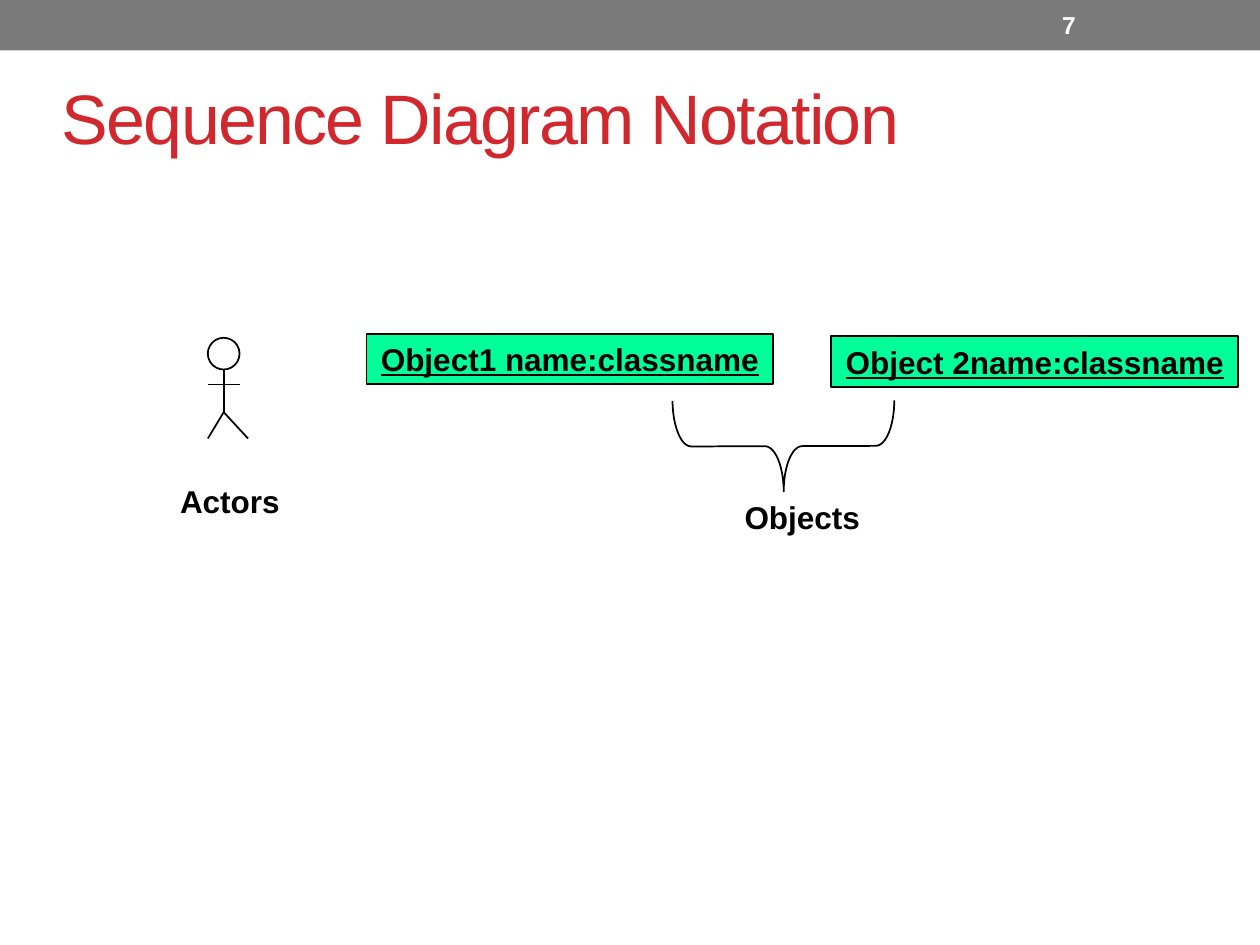
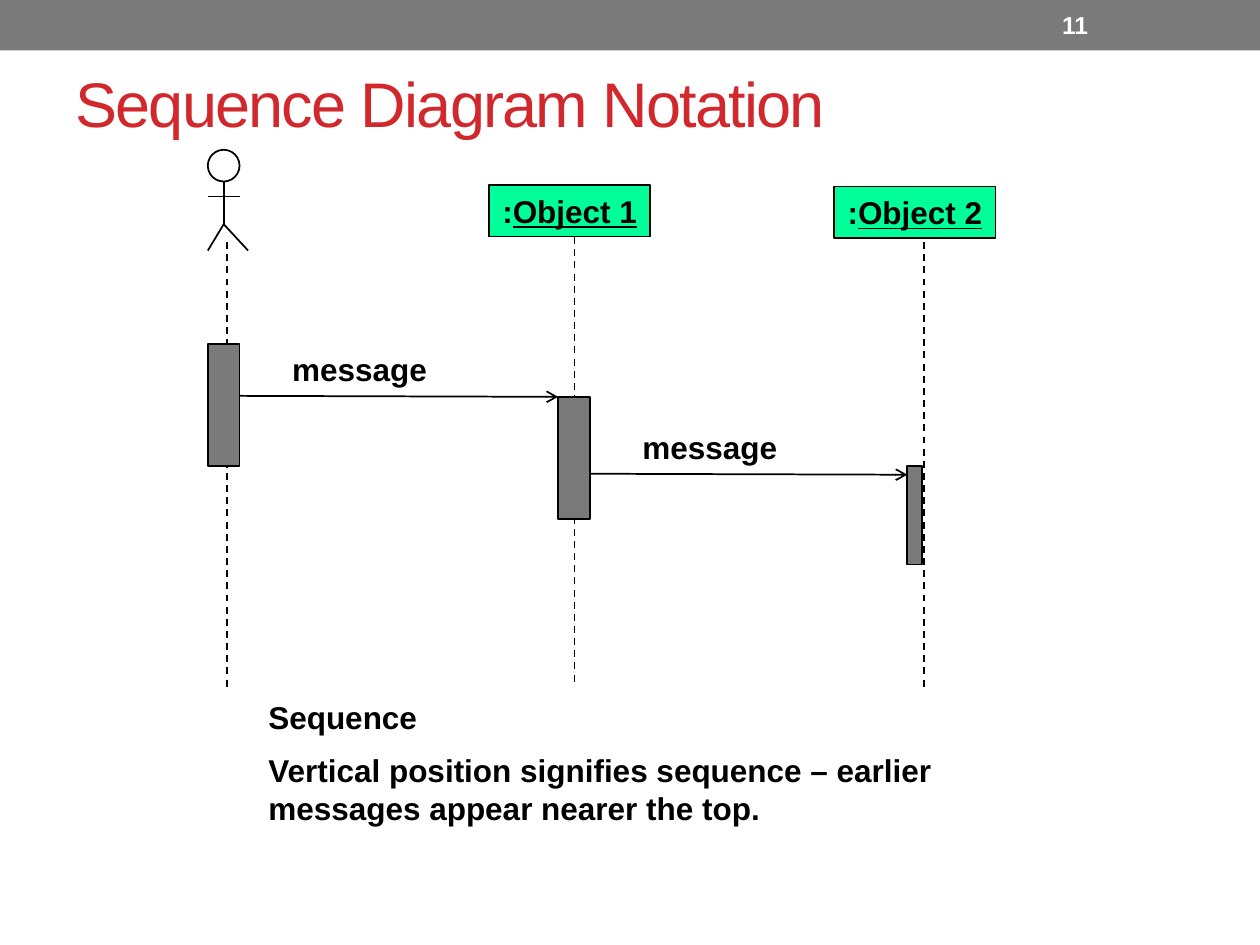
from lxml import etree
from pptx import Presentation
from pptx.dml.color import RGBColor
from pptx.enum.dml import MSO_LINE
from pptx.enum.shapes import MSO_CONNECTOR, MSO_SHAPE
from pptx.enum.text import MSO_ANCHOR, PP_ALIGN
from pptx.oxml.ns import qn
from pptx.util import Cm, Pt

RECTANGLE, OVAL, BRACE = MSO_SHAPE.RECTANGLE, MSO_SHAPE.OVAL, MSO_SHAPE.RIGHT_BRACE
STRAIGHT, DASH = MSO_CONNECTOR.STRAIGHT, MSO_LINE.DASH
TOP, MIDDLE = MSO_ANCHOR.TOP, MSO_ANCHOR.MIDDLE
LEFT, CENTER = PP_ALIGN.LEFT, PP_ALIGN.CENTER

COLORS = {"band": "7A7A7A", "title": "D1282E", "object": "00FF99",
          "ink": "000000", "number": "FFFFFF"}
FONT = "Arial"
SLIDE_W, SLIDE_H, BAND_H = 25.4, 19.05, 1.02
TITLE = "Sequence Diagram Notation"
ACTOR_LEFT, HEAD = 4.19, 0.64
ACTIVATION_W = 0.64

NOTATION = {
    "number": "7",
    "title_box": (1, 1.07, 23.29, 2.54), "title_size": 40,
    "actor_top": 6.81,
    "objects": [([("Object1 name:classname", True)], (7.39, 6.73, 8.2, 1.02)),
                ([("Object 2name:classname", True)], (16.76, 6.78, 8.2, 1.02))],
    "labels": [(["Actors"], (3.38, 9.6, 3.45, 1.02)),
               (["Objects"], (14.76, 9.91, 3.78, 1.02))],
    "brace": (14.88, 6.76, 1.83, 4.47),
}
MESSAGES = {
    "number": "11",
    "title_box": (1.27, 1.09, 22.86, 1.93), "title_size": 36,
    "actor_top": 3.02,
    "objects": [([(":", False), ("Object 1", True)], (9.86, 3.73, 3.25, 1.04)),
                ([(":", False), ("Object 2", True)], (16.82, 3.76, 3.25, 1.04))],
    "lifelines": [(4.57, 4.88, 13.94), (11.58, 4.78, 13.82), (18.62, 4.88, 13.92)],
    "activations": [(4.19, 6.93, ACTIVATION_W, 2.46),
                    (11.25, 8, ACTIVATION_W, 2.46),
                    (18.29, 9.4, 0.3, 1.98)],
    "arrow_tops": [7.98, 9.55],
    "labels": [(["message"], (5.64, 6.93, 5, 1.02)),
               (["message"], (12.7, 8.51, 5, 1.02)),
               (["Sequence",
                 "Vertical position signifies sequence – earlier "
                 "messages appear nearer the top."], (5.16, 13.94, 15.88, 2.92))],
}


def rgb(color):
    return RGBColor.from_string(COLORS[color])


def style_font(font, size, color="ink", bold=True):
    font.name, font.size, font.bold = FONT, Pt(size), bold
    font.color.rgb = rgb(color)


def add_block(shapes, kind, box, fill=None, line="ink"):
    block = shapes.add_shape(kind, *map(Cm, box))
    block.shadow.inherit = False
    if fill:
        block.fill.solid()
        block.fill.fore_color.rgb = rgb(fill)
    else:
        block.fill.background()
    if line:
        block.line.color.rgb = rgb(line)
        block.line.width = Pt(1)
    else:
        block.line.fill.background()
    return block


def add_line(shapes, *ends, dashed=False, arrow=False):
    line = shapes.add_connector(STRAIGHT, *map(Cm, ends))
    line.line.color.rgb = rgb("ink")
    line.line.width = Pt(1)
    if dashed:
        line.line.dash_style = DASH
    properties = line._element.spPr
    if arrow:
        etree.SubElement(properties.find(qn("a:ln")), qn("a:tailEnd"), type="arrow")
    etree.SubElement(properties, qn("a:effectLst"))


def add_text(slide, paragraphs, box, size=18, color="ink", bold=True, anchor=TOP, spacing=0):
    frame = slide.shapes.add_textbox(*map(Cm, box)).text_frame
    frame.word_wrap = True
    frame.vertical_anchor = anchor
    frame.text = "\n".join(paragraphs)
    for index, paragraph in enumerate(frame.paragraphs):
        paragraph.alignment = LEFT
        if index:
            paragraph.space_before = Pt(9)
        for run in paragraph.runs:
            style_font(run.font, size, color, bold)
            if spacing:
                run._r.get_or_add_rPr().set("spc", str(spacing * 100))


def add_object(slide, parts, box):
    frame = add_block(slide.shapes, RECTANGLE, box, "object").text_frame
    frame.word_wrap = False
    frame.vertical_anchor = MIDDLE
    paragraph = frame.paragraphs[0]
    paragraph.alignment = CENTER
    for words, underlined in parts:
        run = paragraph.add_run()
        run.text = words
        style_font(run.font, 18)
        run.font.underline = underlined


def add_actor(slide, top):
    figure = slide.shapes.add_group_shape().shapes
    left, right, spine = ACTOR_LEFT, ACTOR_LEFT + HEAD, ACTOR_LEFT + HEAD / 2
    neck, arms, hip, feet = (top + drop for drop in (HEAD, 0.94, 1.5, 2.03))
    add_block(figure, OVAL, (left, top, HEAD, HEAD))
    add_line(figure, spine, neck, spine, hip)
    add_line(figure, left, arms, right, arms)
    add_line(figure, left, feet, spine, hip)
    add_line(figure, spine, hip, right + 0.17, feet)


def add_base(deck, content):
    slide = deck.slides.add_slide(deck.slide_layouts[6])
    add_block(slide.shapes, RECTANGLE, (0, 0, SLIDE_W, BAND_H), "band", None)
    add_text(slide, [TITLE], content["title_box"], content["title_size"], "title",
             bold=False, anchor=MIDDLE, spacing=-1)
    add_text(slide, [content["number"]], (21.16, 0.05, 2.97, 0.91), 14, "number",
             anchor=MIDDLE)
    add_actor(slide, content["actor_top"])
    for parts, box in content["objects"]:
        add_object(slide, parts, box)
    for paragraphs, box in content["labels"]:
        add_text(slide, paragraphs, box)
    return slide


def build_notation(deck):
    slide = add_base(deck, NOTATION)
    brace = add_block(slide.shapes, BRACE, NOTATION["brace"])
    brace.rotation = 89.8
    brace.adjustments[0] = 0.205
    brace.adjustments[1] = 0.5


def build_messages(deck):
    shapes = add_base(deck, MESSAGES).shapes
    activations = MESSAGES["activations"]
    for x, top, bottom in MESSAGES["lifelines"]:
        add_line(shapes, x, top, x, bottom, dashed=True)
    for box in activations:
        add_block(shapes, RECTANGLE, box, "band")
    for sender, receiver, top in zip(activations, activations[1:], MESSAGES["arrow_tops"]):
        add_line(shapes, sender[0] + sender[2], top, receiver[0], top + 0.02, arrow=True)


def main():
    deck = Presentation()
    deck.slide_width, deck.slide_height = Cm(SLIDE_W), Cm(SLIDE_H)
    build_notation(deck)
    build_messages(deck)
    deck.save("out.pptx")


if __name__ == "__main__":
    main()
